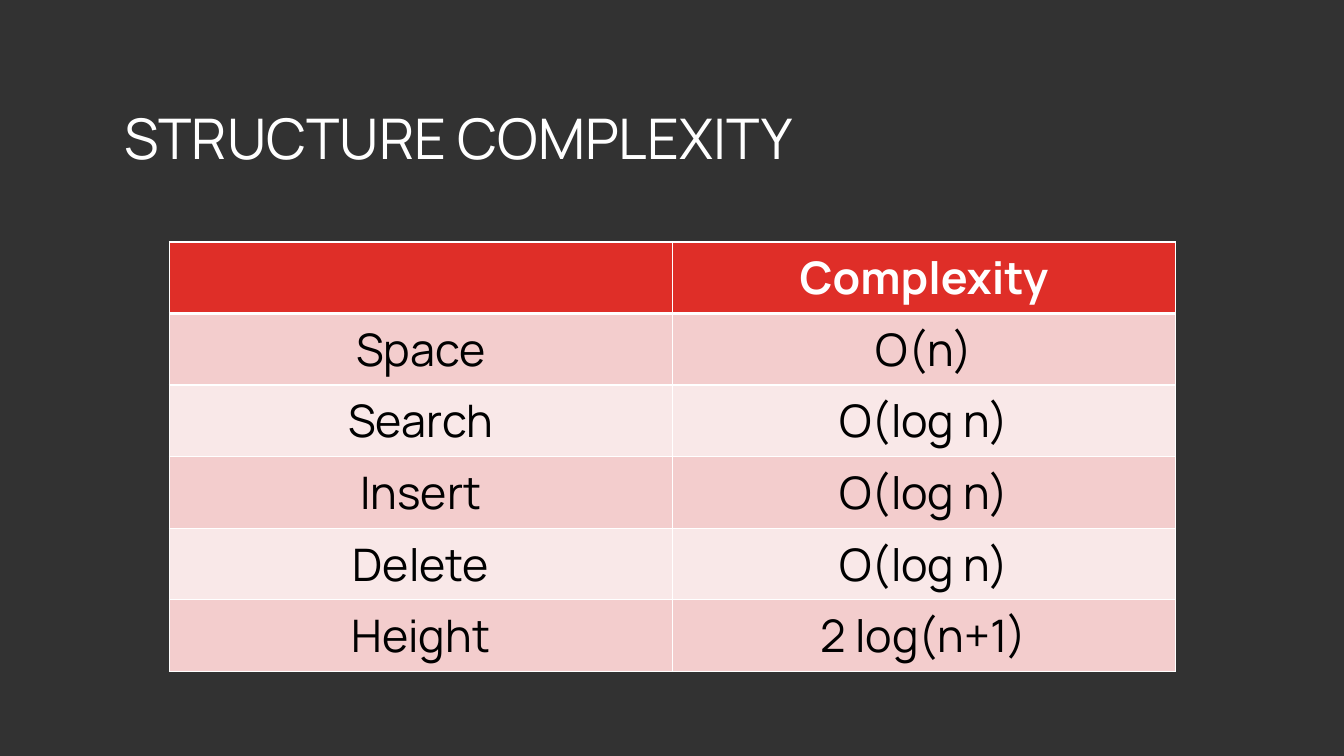
from dataclasses import dataclass

from lxml.etree import SubElement
from pptx import Presentation
from pptx.dml.color import RGBColor
from pptx.enum.shapes import MSO_SHAPE
from pptx.enum.text import MSO_ANCHOR, PP_ALIGN
from pptx.oxml.ns import qn
from pptx.util import Inches, Pt


@dataclass(frozen=True)
class Theme:
    font: str = "Manrope"
    title_size: int = 40
    table_size: int = 32
    base: str = "000000"
    backdrop: str = "323232"
    header: str = "DF2E28"
    bands: tuple = ("F3CDCD", "F9E8E8")
    light: str = "FFFFFF"
    dark: str = "000000"


THEME = Theme()


def style_paragraph(paragraph, size, color, align, bold=False):
    paragraph.alignment = align
    paragraph.font.name = THEME.font
    paragraph.font.size = Pt(size)
    paragraph.font.bold = bold
    paragraph.font.color.rgb = RGBColor.from_string(color)


def set_borders(cell, widths):
    """Draw the cell's edges; widths maps a:lnX tags to points."""
    properties = cell._tc.get_or_add_tcPr()
    for position, (tag, width) in enumerate(widths.items()):
        line = SubElement(properties, qn(tag), w=str(Pt(width)))
        fill = SubElement(line, qn("a:solidFill"))
        SubElement(fill, qn("a:srgbClr"), val=THEME.light)
        properties.insert(position, line)


prs = Presentation()
prs.slide_width, prs.slide_height = Inches(13.33), Inches(7.5)
slide = prs.slides.add_slide(prs.slide_layouts[5])
title = slide.shapes.title

# Backdrop, placed behind the title
slide.background.fill.solid()
slide.background.fill.fore_color.rgb = RGBColor.from_string(THEME.base)
backdrop = slide.shapes.add_shape(
    MSO_SHAPE.RECTANGLE, 0, 0, prs.slide_width, prs.slide_height)
backdrop.shadow.inherit = False
backdrop.fill.solid()
backdrop.fill.fore_color.rgb = RGBColor.from_string(THEME.backdrop)
backdrop.line.fill.background()
title.element.addprevious(backdrop.element)

# Title
title.left, title.top = Inches(0.75), Inches(0.7)
title.width, title.height = Inches(7.21), Inches(1.41)
title.text_frame.text = "STRUCTURE COMPLEXITY"
title.text_frame.vertical_anchor = MSO_ANCHOR.MIDDLE
heading = title.text_frame.paragraphs[0]
heading.line_spacing = 0.9
style_paragraph(heading, THEME.title_size, THEME.light, PP_ALIGN.RIGHT)

# Complexity table
complexities = [
    ("", "Complexity"),
    ("Space", "O(n)"),
    ("Search", "O(log n)"),
    ("Insert", "O(log n)"),
    ("Delete", "O(log n)"),
    ("Height", "2 log(n+1)"),
]
table = slide.shapes.add_table(
    len(complexities), 2, Inches(1.68), Inches(2.4),
    Inches(9.98), Inches(0.71 * len(complexities))).table

for row, entries in enumerate(complexities):
    is_header = row == 0
    fill_color = THEME.header if is_header else THEME.bands[(row - 1) % 2]
    text_color = THEME.light if is_header else THEME.dark
    for column, entry in enumerate(entries):
        cell = table.cell(row, column)
        cell.text = entry
        style_paragraph(cell.text_frame.paragraphs[0], THEME.table_size,
                        text_color, PP_ALIGN.CENTER, bold=is_header)
        cell.fill.solid()
        cell.fill.fore_color.rgb = RGBColor.from_string(fill_color)
        set_borders(cell, {"a:lnL": 1, "a:lnR": 1,
                           "a:lnT": 3 if row == 1 else 1,
                           "a:lnB": 3 if is_header else 1})

prs.save("out.pptx")
